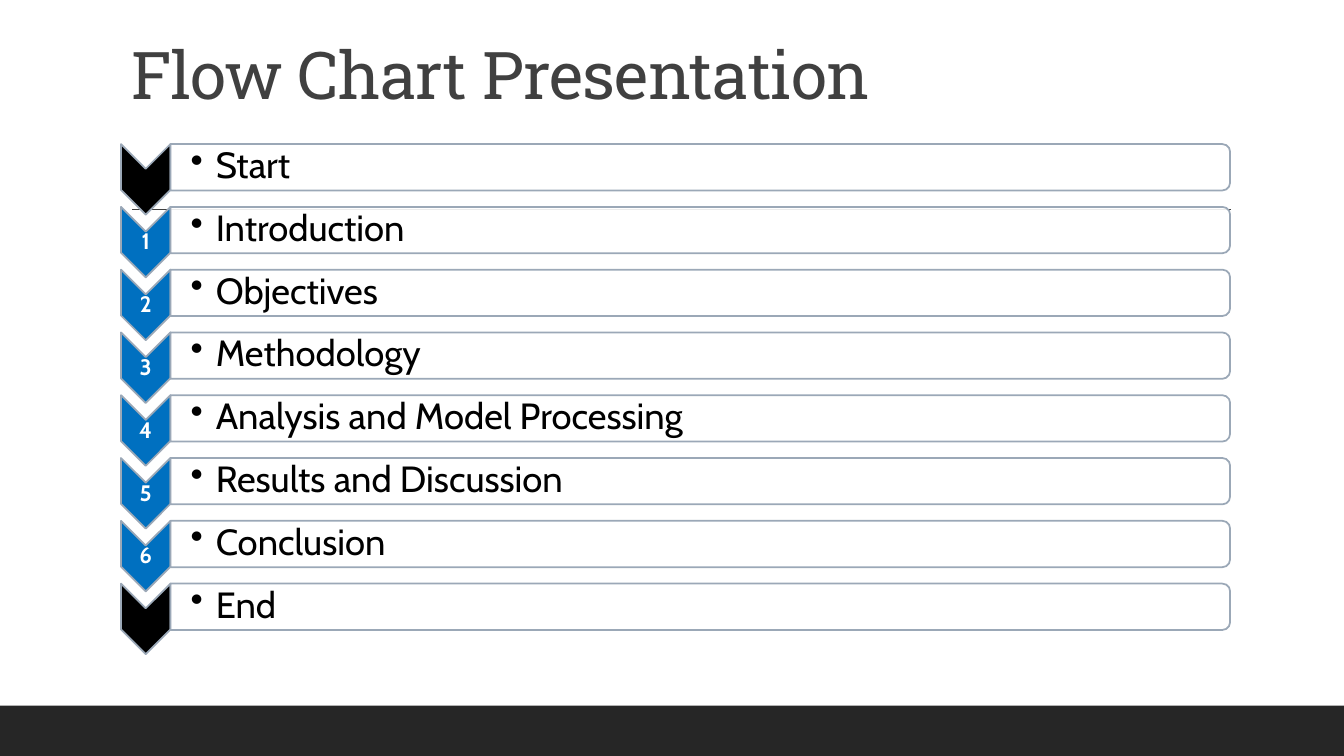
from lxml.etree import SubElement
from pptx import Presentation
from pptx.dml.color import RGBColor
from pptx.enum.shapes import MSO_CONNECTOR as Connector, MSO_SHAPE as Preset
from pptx.enum.text import MSO_ANCHOR as Anchor, MSO_AUTO_SIZE as AutoSize, PP_ALIGN as Align
from pptx.oxml.ns import qn
from pptx.util import Inches, Pt

WIDTH, HEIGHT = 13.33, 7.5
COLORS = {"footer": "262626", "title": "404040", "outline": "9BA8B7", "bar": "FFFFFF",
          "terminal": "000000", "step": "0070C0", "label": "000000", "number": "FFFFFF"}
STEPS = ["Start", "Introduction", "Objectives", "Methodology", "Analysis and Model Processing",
         "Results and Discussion", "Conclusion", "End"]

# Grid: a narrow chevron column, a wide bar column, and one row per step
CHEVRON_LEFT, CHEVRON_WIDTH, CHEVRON_HEIGHT = 1.2, 0.49, 0.7
BAR_LEFT, BAR_WIDTH, BAR_HEIGHT = 1.69, 10.51, 0.46
TOP = 1.43
ROW = 4.36 / (len(STEPS) - 1)


def rgb(name):
    return RGBColor.from_string(COLORS[name])


def write(shape, text, *, font, size, color, bold=False, align=Align.LEFT,
          anchor=Anchor.MIDDLE, insets=(0.1, 0.05, 0.1, 0.05), bullet=None, spacing=None):
    """Fill a shape with one formatted paragraph; insets run left, top, right, bottom."""
    frame = shape.text_frame
    frame.word_wrap, frame.auto_size, frame.vertical_anchor = True, AutoSize.NONE, anchor
    (frame.margin_left, frame.margin_top,
     frame.margin_right, frame.margin_bottom) = map(Inches, insets)
    paragraph = frame.paragraphs[0]
    paragraph.alignment, paragraph.line_spacing = align, 0.9
    if bullet:
        properties = paragraph._p.get_or_add_pPr()
        properties.set("marL", str(Inches(0.25)))
        properties.set("indent", str(-Inches(0.25)))
        SubElement(properties, qn("a:buChar")).set("char", bullet)
    run = paragraph.add_run()
    run.text = text
    run.font.name, run.font.size, run.font.bold = font, Pt(size), bold
    run.font.color.rgb = rgb(color)
    if spacing is not None:
        run._r.get_or_add_rPr().set("spc", str(round(spacing * 100)))


def add_block(slide, preset, left, top, width, height, fill, outline=None, opacity=None):
    block = slide.shapes.add_shape(preset, *map(Inches, (left, top, width, height)))
    block.shadow.inherit = False
    block.fill.solid()
    block.fill.fore_color.rgb = rgb(fill)
    if opacity is not None:
        tint = block._element.spPr.find(qn("a:solidFill"))[0]
        SubElement(tint, qn("a:alpha")).set("val", str(opacity * 1000))
    if outline:
        block.line.color.rgb = rgb(outline)
        block.line.width = Pt(1.25)
    else:
        block.line.fill.background()
    return block


def add_turned_block(slide, preset, left, top, width, height, fill, opacity=None):
    """Add a block turned by 90 degrees that covers the given box as seen."""
    shift = (width - height) / 2
    block = add_block(slide, preset, left + shift, top - shift, height, width,
                      fill, "outline", opacity)
    block.rotation = 90


def add_label(slide, text, left, top, width, height, **text_format):
    box = slide.shapes.add_textbox(*map(Inches, (left, top, width, height)))
    write(box, text, font="Cabin", **text_format)


def add_rule(slide, left, right, y):
    rule = slide.shapes.add_connector(Connector.STRAIGHT, *map(Inches, (left, y, right, y)))
    rule.line.color.rgb = rgb("title")
    rule.line.width = Pt(1)
    SubElement(rule._element.spPr, qn("a:effectLst"))


def add_title(slide, text):
    title = slide.shapes.title
    title.left, title.top, title.width, title.height = map(Inches, (1.2, 0.2, 7.87, 0.98))
    write(title, text, font="Roboto Slab", size=47, color="title",
          anchor=Anchor.BOTTOM, spacing=-0.5)


def add_step(slide, index, text):
    top = TOP + index * ROW
    is_terminal = index in (0, len(STEPS) - 1)
    add_turned_block(slide, Preset.CHEVRON, CHEVRON_LEFT, top, CHEVRON_WIDTH, CHEVRON_HEIGHT,
                     "terminal" if is_terminal else "step")
    if not is_terminal:
        add_label(slide, str(index), CHEVRON_LEFT, top + 0.25, CHEVRON_WIDTH, 0.21, size=16,
                  color="number", bold=True, align=Align.CENTER, insets=[0.01] * 4)
    add_turned_block(slide, Preset.ROUND_2_SAME_RECTANGLE, BAR_LEFT, top, BAR_WIDTH, BAR_HEIGHT,
                     "bar", opacity=90)
    add_label(slide, text, BAR_LEFT, top + 0.02, BAR_WIDTH - 0.03, 0.41, size=26,
              color="label", bullet="•", insets=(0.2, 0.02, 0.02, 0.02))


def main():
    deck = Presentation()
    deck.slide_width, deck.slide_height = Inches(WIDTH), Inches(HEIGHT)
    slide = deck.slides.add_slide(deck.slide_layouts.get_by_name("Title Only"))
    add_block(slide, Preset.RECTANGLE, 0, HEIGHT - 0.5, WIDTH, 0.5, "footer")
    add_rule(slide, 1.31, 12.21, 2.08)
    add_title(slide, "Flow Chart Presentation")
    for index, text in enumerate(STEPS):
        add_step(slide, index, text)
    deck.save("out.pptx")


if __name__ == "__main__":
    main()
